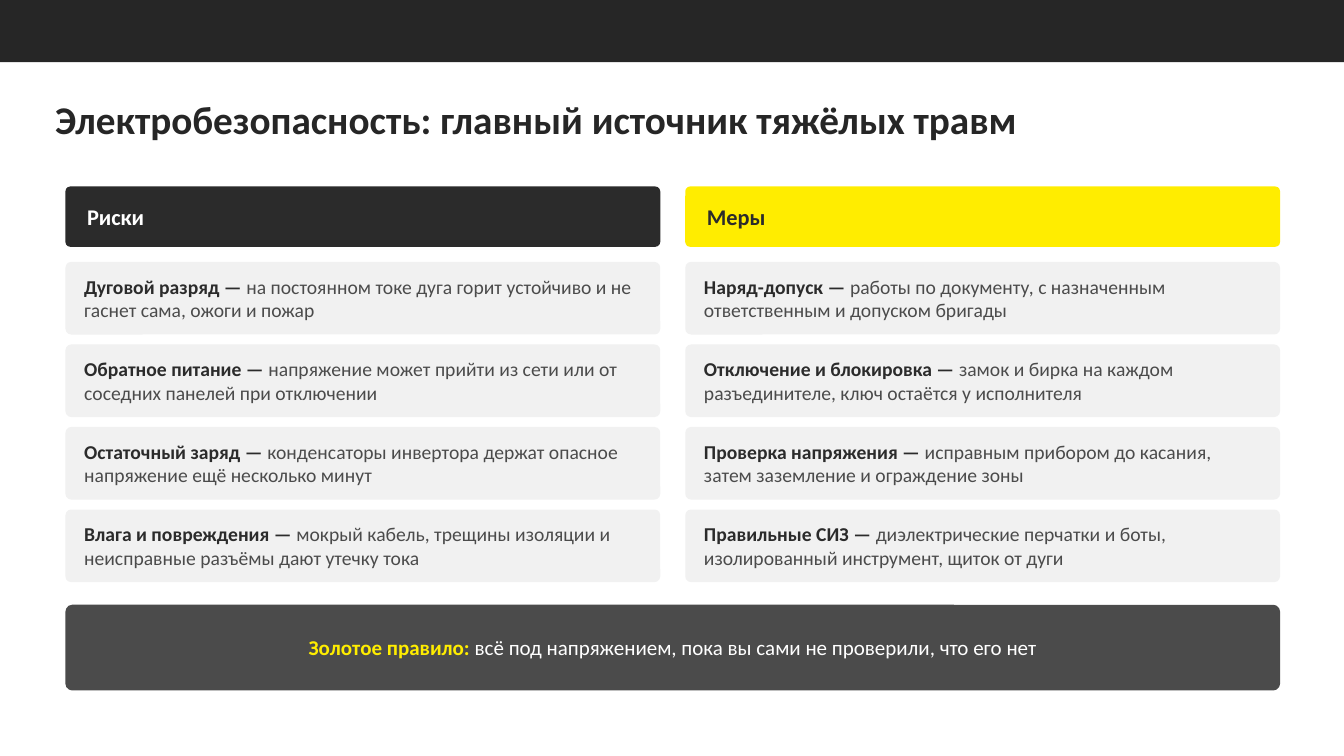
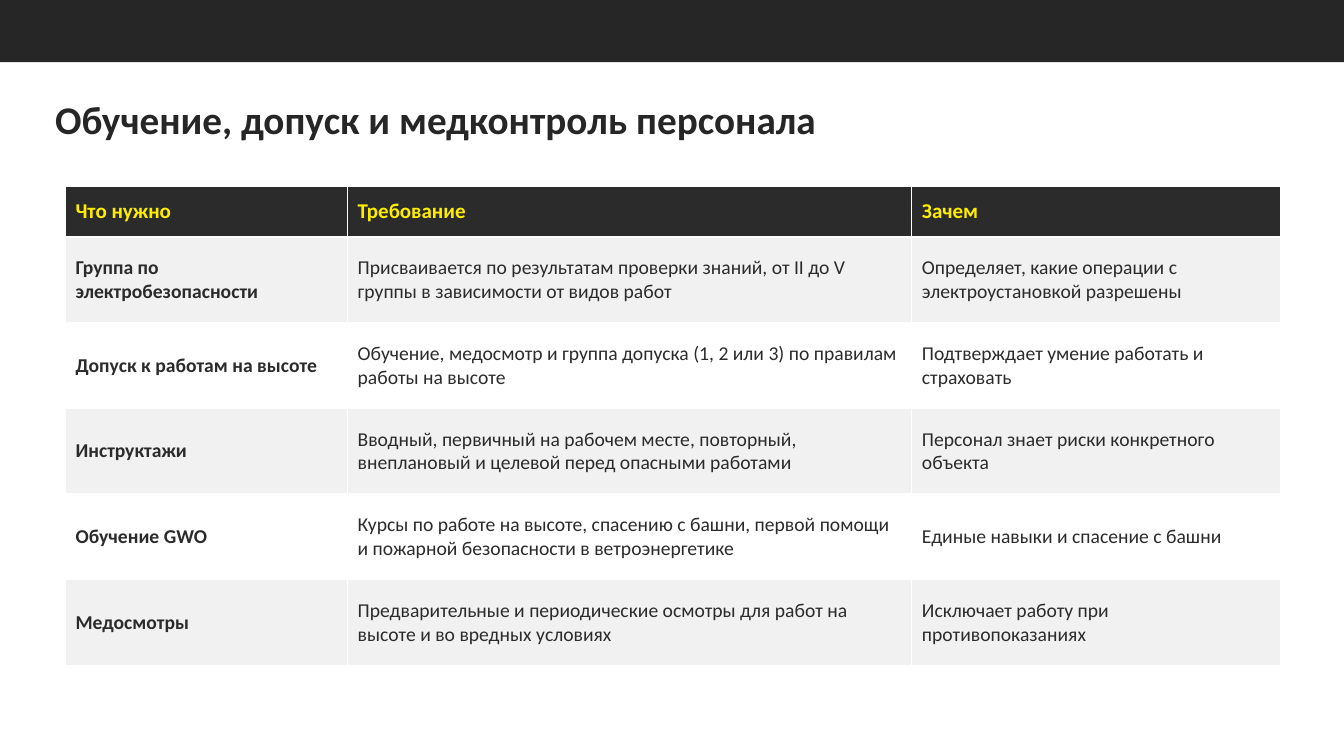
import pptx
import pptx.util
import pptx.dml.color
import pptx.enum.shapes
import pptx.enum.text

Cm = pptx.util.Cm
SHAPES = pptx.enum.shapes.MSO_SHAPE
ALIGN = pptx.enum.text.PP_ALIGN
MIDDLE = pptx.enum.text.MSO_ANCHOR.MIDDLE

FONT = "Calibri"
BAND = "262626"
DARK = "2B2B2B"
GREY = "4B4B4B"
LIGHT = "F1F1F1"
YELLOW = "FFED00"
WHITE = "FFFFFF"

SLIDE_W, SLIDE_H = 33.87, 19.05
LEFT, TOP, CONTENT_W = 1.65, 4.7, 30.61
COLUMN_W, COLUMN_STEP = 14.99, 15.62
CARD_TOP, CARD_H, CARD_STEP = 6.6, 1.83, 2.08

RISKS = [
    ("Дуговой разряд — ", "на постоянном токе дуга горит устойчиво и не гаснет сама, ожоги и пожар"),
    ("Обратное питание — ", "напряжение может прийти из сети или от соседних панелей при отключении"),
    ("Остаточный заряд — ", "конденсаторы инвертора держат опасное напряжение ещё несколько минут"),
    ("Влага и повреждения — ", "мокрый кабель, трещины изоляции и неисправные разъёмы дают утечку тока"),
]
MEASURES = [
    ("Наряд-допуск — ", "работы по документу, с назначенным ответственным и допуском бригады"),
    ("Отключение и блокировка — ", "замок и бирка на каждом разъединителе, ключ остаётся у исполнителя"),
    ("Проверка напряжения — ", "исправным прибором до касания, затем заземление и ограждение зоны"),
    ("Правильные СИЗ — ", "диэлектрические перчатки и боты, изолированный инструмент, щиток от дуги"),
]
TABLE_COLUMNS = [7.11, 14.22, 9.28]
TABLE_ROWS = [
    ("Что нужно", "Требование", "Зачем"),
    ("Группа по электробезопасности",
     "Присваивается по результатам проверки знаний, от II до V группы в зависимости от видов работ",
     "Определяет, какие операции с электроустановкой разрешены"),
    ("Допуск к работам на высоте",
     "Обучение, медосмотр и группа допуска (1, 2 или 3) по правилам работы на высоте",
     "Подтверждает умение работать и страховать"),
    ("Инструктажи",
     "Вводный, первичный на рабочем месте, повторный, внеплановый и целевой перед опасными работами",
     "Персонал знает риски конкретного объекта"),
    ("Обучение GWO",
     "Курсы по работе на высоте, спасению с башни, первой помощи и пожарной безопасности в ветроэнергетике",
     "Единые навыки и спасение с башни"),
    ("Медосмотры",
     "Предварительные и периодические осмотры для работ на высоте и во вредных условиях",
     "Исключает работу при противопоказаниях"),
]


def paint(fill, color):
    fill.solid()
    fill.fore_color.rgb = pptx.dml.color.RGBColor.from_string(color)


def add_run(p, text, size, color, bold=False):
    r = p.add_run()
    r.text = text
    r.font.name = FONT
    r.font.size = pptx.util.Pt(size)
    r.font.bold = bold
    paint(r.font.fill, color)


def add_block(s, kind, x, y, w, h, color):
    sp = s.shapes.add_shape(kind, Cm(x), Cm(y), Cm(w), Cm(h))
    sp.shadow.inherit = False
    paint(sp.fill, color)
    sp.line.fill.background()
    return sp


def add_card(s, x, y, w, h, color, runs, size, inset, align=ALIGN.LEFT):
    sp = add_block(s, SHAPES.ROUNDED_RECTANGLE, x, y, w, h, color)
    sp.adjustments[0] = 0.08
    tf = sp.text_frame
    tf.word_wrap = True
    tf.vertical_anchor = MIDDLE
    tf.margin_left = tf.margin_right = Cm(inset)
    tf.margin_top = tf.margin_bottom = Cm(0.08)
    p = tf.paragraphs[0]
    p.alignment = align
    for text, text_color, bold in runs:
        add_run(p, text, size, text_color, bold)


def add_titled_slide(prs, title):
    s = prs.slides.add_slide(prs.slide_layouts[6])
    add_block(s, SHAPES.RECTANGLE, 0, 0, SLIDE_W, 1.57, BAND)
    tf = s.shapes.add_textbox(Cm(1.14), Cm(2.13), Cm(29.21), Cm(1.9)).text_frame
    tf.word_wrap = True
    tf.vertical_anchor = MIDDLE
    p = tf.paragraphs[0]
    p.line_spacing = 0.9
    add_run(p, title, 28, BAND, True)
    return s


def add_column(s, index, heading, color, heading_color, items):
    x = LEFT + index * COLUMN_STEP
    add_card(s, x, TOP, COLUMN_W, 1.52, color, [(heading, heading_color, True)], 16, 0.51)
    for i, (term, detail) in enumerate(items):
        runs = [(term, DARK, True), (detail, GREY, False)]
        add_card(s, x, CARD_TOP + i * CARD_STEP, COLUMN_W, CARD_H, LIGHT, runs, 14, 0.43)


def add_requirements(s, rows, widths, head_h, row_h):
    height = head_h + row_h * (len(rows) - 1)
    table = s.shapes.add_table(len(rows), len(widths), Cm(LEFT), Cm(TOP),
                               Cm(CONTENT_W), Cm(height)).table
    for column, width in zip(table.columns, widths):
        column.width = Cm(width)
    for i, texts in enumerate(rows):
        head = i == 0
        table.rows[i].height = Cm(head_h if head else row_h)
        row_color = DARK if head else (LIGHT if i % 2 else WHITE)
        for j, text in enumerate(texts):
            cell = table.cell(i, j)
            cell.vertical_anchor = MIDDLE
            paint(cell.fill, row_color)
            add_run(cell.text_frame.paragraphs[0], text, 15 if head else 14,
                    YELLOW if head else DARK, head or j == 0)


def main():
    prs = pptx.Presentation()
    prs.slide_width, prs.slide_height = Cm(SLIDE_W), Cm(SLIDE_H)

    s = add_titled_slide(prs, "Электробезопасность: главный источник тяжёлых травм")
    add_column(s, 0, "Риски", DARK, WHITE, RISKS)
    add_column(s, 1, "Меры", YELLOW, DARK, MEASURES)
    rule = [("Золотое правило: ", YELLOW, True),
            ("всё под напряжением, пока вы сами не проверили, что его нет", WHITE, False)]
    add_card(s, LEFT, 15.24, CONTENT_W, 2.16, GREY, rule, 15, 0.3, ALIGN.CENTER)

    s = add_titled_slide(prs, "Обучение, допуск и медконтроль персонала")
    add_requirements(s, TABLE_ROWS, TABLE_COLUMNS, 1.27, 2.16)

    prs.save("out.pptx")


if __name__ == "__main__":
    main()
